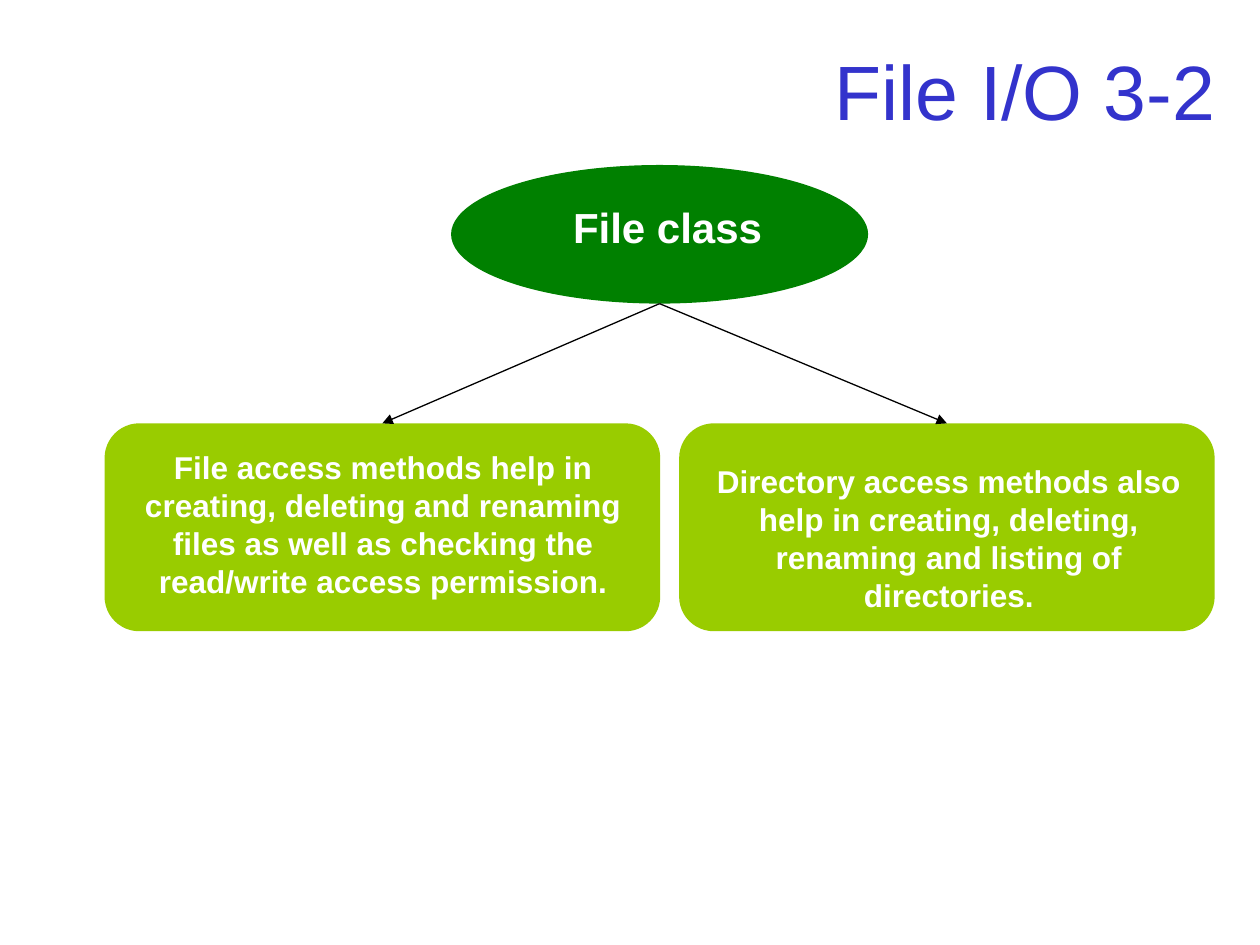
from lxml import etree
from pptx import Presentation
from pptx.dml.color import RGBColor
from pptx.enum.shapes import MSO_CONNECTOR, MSO_SHAPE
from pptx.enum.text import MSO_ANCHOR, PP_ALIGN
from pptx.oxml.ns import qn
from pptx.util import Inches, Pt

OVAL = MSO_SHAPE.OVAL
ROUND = MSO_SHAPE.ROUNDED_RECTANGLE
STRAIGHT = MSO_CONNECTOR.STRAIGHT
MIDDLE = MSO_ANCHOR.MIDDLE
LEFT, CENTER, RIGHT = PP_ALIGN.LEFT, PP_ALIGN.CENTER, PP_ALIGN.RIGHT

BLUE = RGBColor(0x33, 0x33, 0xCC)
GREEN = RGBColor(0x00, 0x80, 0x00)
LIME = RGBColor(0x99, 0xCC, 0x00)
WHITE = RGBColor(0xFF, 0xFF, 0xFF)
BLACK = RGBColor(0x00, 0x00, 0x00)

COLS, ROWS = 100, 75
TOP = 0


class Deck:
    font = "Arial"

    def __init__(self):
        self.prs = Presentation()
        self.prs.slide_width = Inches(10)
        self.prs.slide_height = Inches(7.5)
        self.slide = self.prs.slides.add_slide(self.prs.slide_layouts[5])

    def area(self, col, row, wide, high):
        x = self.prs.slide_width / COLS
        y = self.prs.slide_height / ROWS
        return round(col * x), round(row * y), round(wide * x), round(high * y)

    def text(self, frame, words, size, color, align, bold=False):
        para = frame.paragraphs[0]
        para.alignment = align
        run = para.add_run()
        run.text = words
        run.font.name = self.font
        run.font.size = Pt(size)
        run.font.bold = bold
        run.font.color.rgb = color

    def title(self, words, *cells):
        head = self.slide.shapes.title
        head.left, head.top, head.width, head.height = self.area(*cells)
        head.text_frame.vertical_anchor = MIDDLE
        self.text(head.text_frame, words, 44, BLUE, RIGHT)

    def shape(self, kind, fill, *cells):
        item = self.slide.shapes.add_shape(kind, *self.area(*cells))
        item.shadow.inherit = False
        item.fill.solid()
        item.fill.fore_color.rgb = fill
        item.line.fill.background()
        return item

    def label(self, words, size, align, wrap, *cells):
        frame = self.slide.shapes.add_textbox(*self.area(*cells)).text_frame
        frame.word_wrap = wrap
        self.text(frame, words, size, WHITE, align, True)

    def arrow(self, start, end):
        x, y = start.left + start.width // 2, start.top + start.height
        link = self.slide.shapes.add_connector(STRAIGHT, x, y, x, y)
        link.end_connect(end, TOP)
        link.line.color.rgb = BLACK
        link.line.width = Pt(0.75)
        props = link.element.spPr
        tip = etree.SubElement(props.find(qn("a:ln")), qn("a:tailEnd"))
        tip.set("type", "triangle")
        etree.SubElement(props, qn("a:effectLst"))


def main():
    deck = Deck()
    deck.title("File I/O 3-2", 7.5, 2.8, 90, 8.7)

    root = deck.shape(OVAL, GREEN, 35.8, 13.1, 33.1, 11)
    deck.label("File class", 24, LEFT, False, 44.5, 15.5, 17, 5)

    leaves = (
        (8.3, 44.1, 9.8, 35.1,
         "File access methods help in creating, deleting and renaming "
         "files as well as checking the read/write access permission."),
        (53.9, 42.5, 54.7, 36.2,
         "Directory access methods also help in creating, deleting, "
         "renaming and listing of directories."),
    )
    for col, wide, left, row, words in leaves:
        box = deck.shape(ROUND, LIME, col, 33.6, wide, 16.5)
        deck.label(words, 18, CENTER, True, left, row, 41.2, 13)
        deck.arrow(root, box)

    deck.prs.save("out.pptx")


if __name__ == "__main__":
    main()
